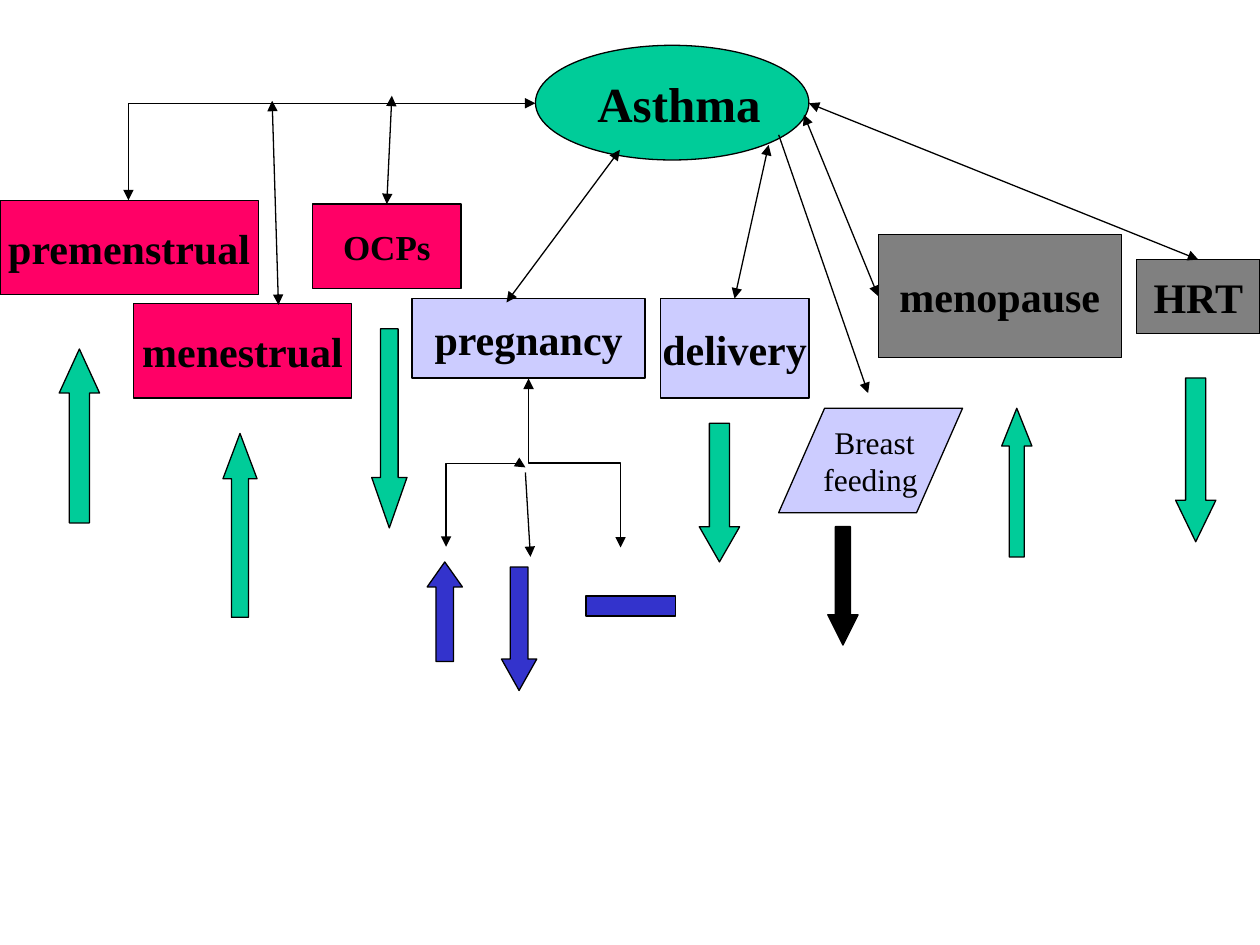
from dataclasses import dataclass

from lxml.etree import SubElement
from pptx import Presentation
from pptx.dml.color import RGBColor
from pptx.enum.shapes import MSO_CONNECTOR, MSO_SHAPE
from pptx.enum.text import MSO_ANCHOR, PP_ALIGN
from pptx.oxml.ns import qn
from pptx.util import Inches, Pt

COLORS = {
    "green": "00CC99",
    "pink": "FF0066",
    "lilac": "CCCCFF",
    "gray": "808080",
    "blue": "3333CC",
    "black": "000000",
}
FONT = "Times New Roman"
LINE_WIDTH = Pt(0.75)
UP, DOWN = MSO_SHAPE.UP_ARROW, MSO_SHAPE.DOWN_ARROW


@dataclass
class Node:
    left: float
    top: float
    width: float
    height: float
    color: str
    text: str = ""
    size: int = 24
    bold: bool = True
    kind: MSO_SHAPE = MSO_SHAPE.RECTANGLE


@dataclass
class BlockArrow:
    left: float
    top: float
    width: float
    height: float
    kind: MSO_SHAPE
    head_ratio: float
    color: str = "green"


@dataclass
class Link:
    """A connector; start and end are given before any rotation."""
    start: tuple[float, float]
    end: tuple[float, float]
    both_ends: bool = True
    preset: str = "line"
    rotation: int = 0
    bend: float | None = None


NODES = [
    Node(4.25, 0.36, 2.17, 0.91, "green", "Asthma ", 28, kind=MSO_SHAPE.OVAL),
    Node(0, 1.59, 2.05, 0.75, "pink", "premenstrual"),
    Node(1.06, 2.41, 1.73, 0.75, "pink", "menestrual"),
    Node(2.48, 1.62, 1.18, 0.67, "pink", "OCPs", 20),
    Node(3.27, 2.37, 1.85, 0.63, "lilac", "pregnancy"),
    Node(6.97, 1.86, 1.93, 0.98, "gray", "menopause"),
    Node(9.02, 2.06, 0.98, 0.59, "gray", "HRT"),
    Node(5.24, 2.37, 1.18, 0.79, "lilac", "delivery"),
    Node(4.65, 4.73, 0.71, 0.16, "blue"),
    Node(6.18, 3.24, 1.46, 0.83, "lilac", "Breast \nfeeding", 18, False,
         MSO_SHAPE.PARALLELOGRAM),
]
BLOCK_ARROWS = [
    BlockArrow(0.47, 2.77, 0.32, 1.38, UP, 1.09),
    BlockArrow(1.77, 3.44, 0.27, 1.46, UP, 1.33),
    BlockArrow(2.95, 2.61, 0.28, 1.58, DOWN, 1.43),
    BlockArrow(5.55, 3.36, 0.32, 1.1, DOWN, 0.87),
    BlockArrow(7.95, 3.24, 0.24, 1.18, UP, 1.25),
    BlockArrow(9.33, 3, 0.32, 1.3, DOWN, 1.03),
    BlockArrow(3.39, 4.46, 0.28, 0.79, UP, 0.71, "blue"),
    BlockArrow(3.98, 4.5, 0.28, 0.98, DOWN, 0.89, "blue"),
    BlockArrow(6.57, 4.18, 0.24, 0.94, DOWN, 1, "black"),
]
LINKS = [
    Link((4.25, 0.82), (1.02, 1.59), preset="bentConnector2"),
    Link((3.11, 0.76), (3.07, 1.62)),
    Link((2.16, 0.8), (2.21, 2.42)),
    Link((4.92, 1.19), (4.02, 2.4)),
    Link((6.1, 1.15), (5.83, 2.37)),
    Link((6.38, 0.91), (6.97, 2.35)),
    Link((6.42, 0.82), (9.51, 2.06)),
    Link((5.23, 3.31), (3.89, 4.04), preset="bentConnector3", rotation=270, bend=0.5),
    Link((4.17, 3.75), (4.21, 4.42), both_ends=False),
    Link((3.54, 3.71), (4.17, 4.34), preset="bentConnector3", rotation=90, bend=-0.05),
    Link((6.18, 1.07), (6.89, 3.12), both_ends=False),
]


def color(name: str) -> RGBColor:
    return RGBColor.from_string(COLORS[name])


def add_filled_shape(page, item: Node | BlockArrow):
    shape = page.shapes.add_shape(
        item.kind, Inches(item.left), Inches(item.top),
        Inches(item.width), Inches(item.height))
    shape.shadow.inherit = False
    shape.fill.solid()
    shape.fill.fore_color.rgb = color(item.color)
    shape.line.color.rgb = color("black")
    shape.line.width = LINE_WIDTH
    return shape


def add_node(page, node: Node) -> None:
    box = add_filled_shape(page, node)
    if node.kind == MSO_SHAPE.PARALLELOGRAM:
        box.adjustments[0] = 0.44
    if not node.text:
        return
    frame = box.text_frame
    frame.text = node.text
    frame.word_wrap = False
    frame.vertical_anchor = MSO_ANCHOR.MIDDLE
    for paragraph in frame.paragraphs:
        paragraph.alignment = PP_ALIGN.CENTER
        paragraph._p.get_or_add_pPr().set("rtl", "1")
        for span in paragraph.runs:
            span.font.name = FONT
            span.font.size = Pt(node.size)
            span.font.bold = node.bold
            span.font.color.rgb = color("black")


def add_block_arrow(page, arrow: BlockArrow) -> None:
    shape = add_filled_shape(page, arrow)
    shape.adjustments[0] = 0.5
    shape.adjustments[1] = arrow.head_ratio


def add_link(page, link: Link) -> None:
    connector = page.shapes.add_connector(
        MSO_CONNECTOR.STRAIGHT, *map(Inches, link.start + link.end))
    connector.line.color.rgb = color("black")
    connector.line.width = LINE_WIDTH
    properties = connector._element.spPr
    geometry = properties.find(qn("a:prstGeom"))
    geometry.set("prst", link.preset)
    if link.rotation:
        properties.find(qn("a:xfrm")).set("rot", str(link.rotation * 60000))
    if link.bend is not None:
        guides = geometry.find(qn("a:avLst"))
        SubElement(guides, qn("a:gd"), name="adj1", fmla=f"val {round(link.bend * 100000)}")
    outline = properties.find(qn("a:ln"))
    if link.both_ends:
        SubElement(outline, qn("a:headEnd"), type="triangle")
    SubElement(outline, qn("a:tailEnd"), type="triangle")
    SubElement(properties, qn("a:effectLst"))


def main() -> None:
    deck = Presentation()
    deck.slide_width, deck.slide_height = Inches(10), Inches(7.5)
    page = deck.slides.add_slide(deck.slide_layouts[6])
    for node in NODES:
        add_node(page, node)
    for arrow in BLOCK_ARROWS:
        add_block_arrow(page, arrow)
    for link in LINKS:
        add_link(page, link)
    deck.save("out.pptx")


if __name__ == "__main__":
    main()
